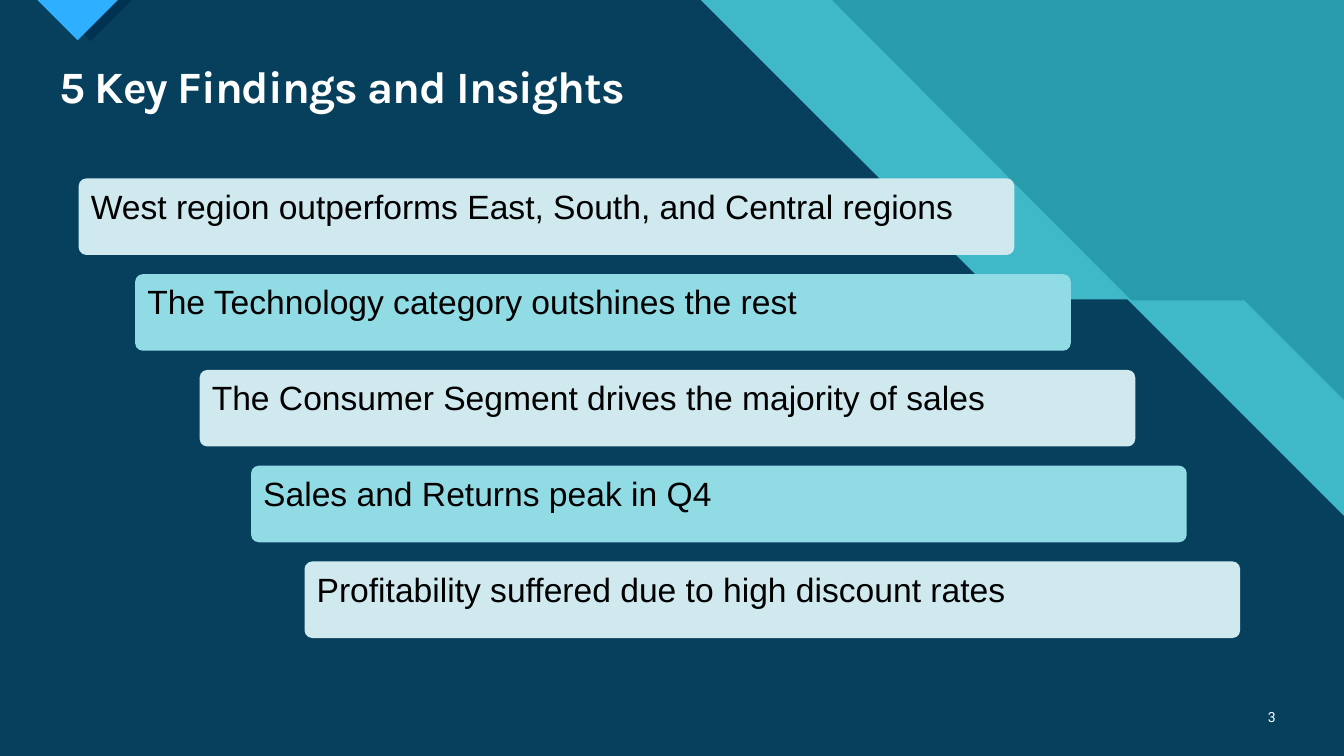
import pptx
import pptx.util
import pptx.dml.color
import pptx.enum.shapes
import pptx.enum.text
import lxml.etree

RGBColor = pptx.dml.color.RGBColor
Inches = pptx.util.Inches
ALIGN = pptx.enum.text.PP_ALIGN
ANCHOR = pptx.enum.text.MSO_ANCHOR

TEAL = RGBColor(0x29, 0x9C, 0xAB)
AQUA = RGBColor(0x47, 0xC3, 0xD3)
NAVY = RGBColor(0x00, 0x33, 0x52)
BLUE = RGBColor(0x2F, 0xAF, 0xFF)
PALE = RGBColor(0xCF, 0xE9, 0xEF)
LIGHT = RGBColor(0x91, 0xDB, 0xE5)
WHITE = RGBColor(0xFF, 0xFF, 0xFF)
BLACK = RGBColor(0x00, 0x00, 0x00)

WIDTH, HEIGHT = 13.33, 7.5
TITLE = "5 Key Findings and Insights"
PAGE_NUMBER = "3"
FINDINGS = [
    (0.78, "West region outperforms East, South, and Central regions"),
    (1.34, "The Technology category outshines the rest"),
    (1.98, "The Consumer Segment drives the majority of sales"),
    (2.49, "Sales and Returns peak in Q4"),
    (3.02, "Profitability suffered due to high discount rates"),
]
BAR_TOP, BAR_STEP, BAR_WIDTH, BAR_HEIGHT = 1.77, 0.95, 9.28, 0.76
BANDS = [
    (AQUA, 74, [(0, 0), (8.25, 0), (11.22, 2.98), (12.34, 2.98),
                (WIDTH, 3.97), (WIDTH, HEIGHT), (0, HEIGHT)]),
    (NAVY, 90, [(0, 0), (6.95, 0), (9.92, 2.97), (11.18, 2.97),
                (WIDTH, 5.12), (WIDTH, HEIGHT), (0, HEIGHT)]),
    (NAVY, 100, [(0.48, 0), (1.31, 0), (0.9, 0.41)]),
    (BLUE, 100, [(0.37, 0), (1.17, 0), (0.77, 0.4)]),
]


def paint(shape, color, opacity=100):
    shape.shadow.inherit = False
    shape.fill.solid()
    shape.fill.fore_color.rgb = color
    shape.line.fill.background()
    if opacity < 100:
        namespace = pptx.oxml.ns.qn("a:srgbClr")
        fill_color = next(shape.fill._xPr.iter(namespace))
        alpha = lxml.etree.SubElement(fill_color, pptx.oxml.ns.qn("a:alpha"))
        alpha.set("val", str(opacity * 1000))


def draw_band(slide, color, opacity, points):
    corners = [(Inches(x), Inches(y)) for x, y in points]
    builder = slide.shapes.build_freeform(*corners[0])
    builder.add_line_segments(corners[1:], close=True)
    paint(builder.convert_to_shape(), color, opacity)


def write(shape, text, font_name, size, color, align=ALIGN.LEFT, anchor=ANCHOR.TOP):
    frame = shape.text_frame
    frame.word_wrap = True
    frame.vertical_anchor = anchor
    frame.text = text
    paragraph = frame.paragraphs[0]
    paragraph.alignment = align
    font = paragraph.runs[0].font
    font.name = font_name
    font.size = pptx.util.Pt(size)
    font.color.rgb = color
    return paragraph


def add_box(slide, left, top, width, height):
    return slide.shapes.add_textbox(*map(Inches, (left, top, width, height)))


def add_bar(slide, row, left, text):
    bar = slide.shapes.add_shape(
        pptx.enum.shapes.MSO_SHAPE.ROUNDED_RECTANGLE,
        Inches(left), Inches(BAR_TOP + row * BAR_STEP),
        Inches(BAR_WIDTH), Inches(BAR_HEIGHT))
    bar.adjustments[0] = 0.1
    paint(bar, LIGHT if row % 2 else PALE)
    write(bar, text, "Arial", 24, BLACK)


def main():
    presentation = pptx.Presentation()
    presentation.slide_width = Inches(WIDTH)
    presentation.slide_height = Inches(HEIGHT)
    slide = presentation.slides.add_slide(presentation.slide_layouts[6])
    slide.background.fill.solid()
    slide.background.fill.fore_color.rgb = TEAL

    for color, opacity, points in BANDS:
        draw_band(slide, color, opacity, points)

    title = write(add_box(slide, 0.49, 0.59, 12.26, 0.59), TITLE, "Karla", 32, WHITE)
    title.line_spacing = 0.9
    title.runs[0].font.bold = True
    title.runs[0].font._element.set("spc", "-70")

    write(add_box(slide, 12.31, 6.91, 0.44, 0.4), PAGE_NUMBER, "Roboto", 10, WHITE,
          ALIGN.RIGHT, ANCHOR.MIDDLE)

    for row, (left, text) in enumerate(FINDINGS):
        add_bar(slide, row, left, text)

    presentation.save("out.pptx")


if __name__ == "__main__":
    main()
